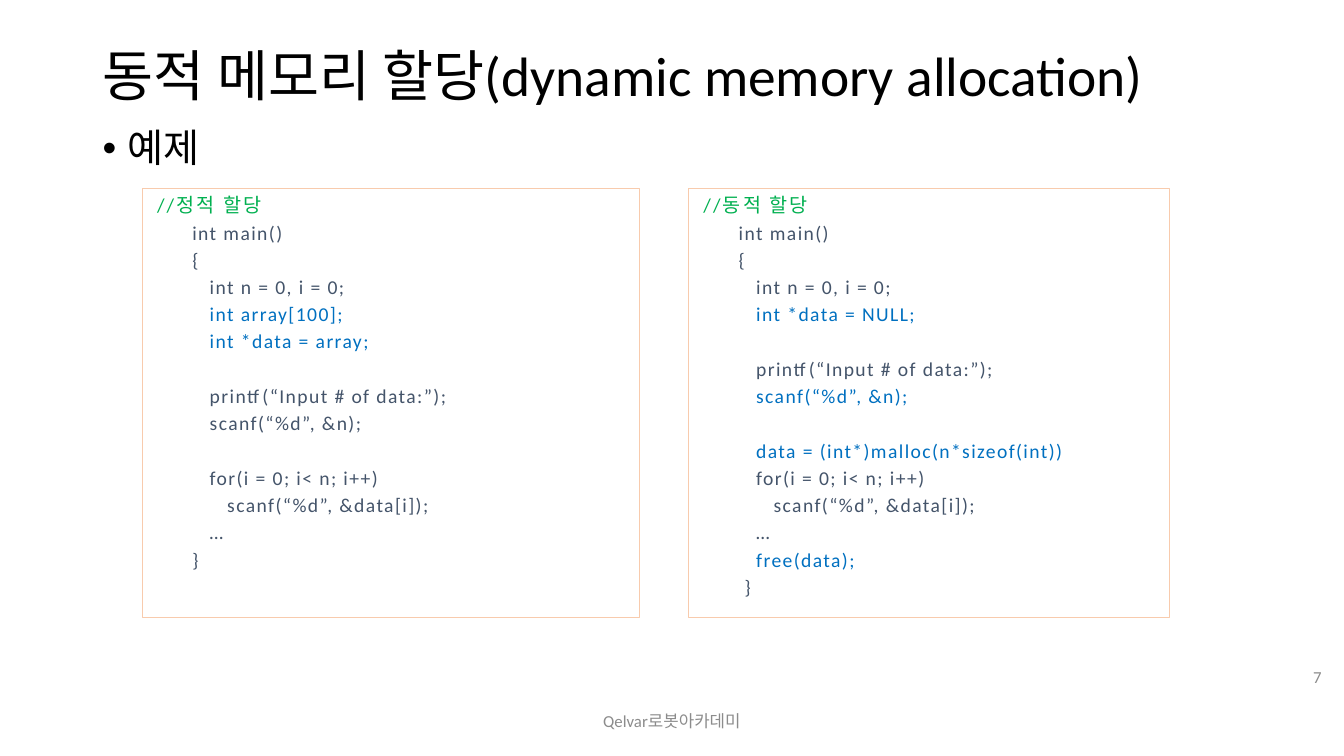
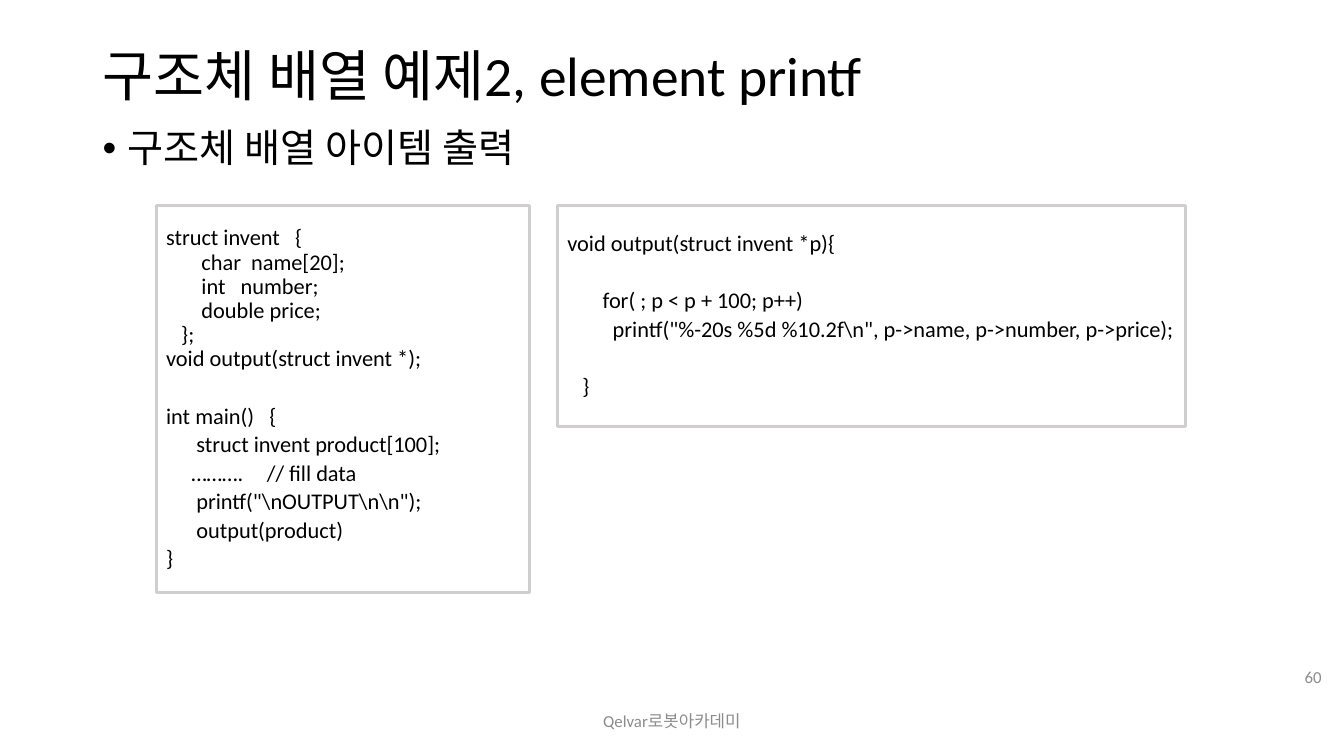
from dataclasses import dataclass
from typing import Optional

from lxml import etree
from pptx import Presentation
from pptx.dml.color import RGBColor
from pptx.enum import shapes, text
from pptx.oxml import ns
from pptx.util import Pt

FONT = "Calibri"
BLACK = RGBColor(0x00, 0x00, 0x00)
WHITE = RGBColor(0xFF, 0xFF, 0xFF)
FOOTER_GRAY = RGBColor(0x8C, 0x8C, 0x8C)
FRAME_GRAY = RGBColor(0xD0, 0xCE, 0xCE)
FRAME_PEACH = RGBColor(0xF8, 0xCB, 0xAD)
CODE_SLATE = RGBColor(0x44, 0x54, 0x6A)
CODE_BLUE = RGBColor(0x00, 0x70, 0xC0)
COMMENT_GREEN = RGBColor(0x00, 0xB0, 0x50)

FOOTER = "Qelvar로봇아카데미"
LEFT_MARGIN, CONTENT_WIDTH = 66.2, 828


@dataclass(frozen=True)
class Box:
    left: float
    top: float
    width: float
    height: float

    def lengths(self) -> tuple:
        return Pt(self.left), Pt(self.top), Pt(self.width), Pt(self.height)


TITLE_BOX = Box(LEFT_MARGIN, 28.8, CONTENT_WIDTH, 54)
BODY_BOX = Box(LEFT_MARGIN, 88.6, CONTENT_WIDTH, 398)
FOOTER_BOX = Box(318, 500.4, 324, 28.8)
NUMBER_BOX = Box(906.5, 468.7, 44.6, 28.8)


@dataclass(frozen=True)
class PanelStyle:
    """Spacing is the gap between lines; pitch is a whole line with its gap."""
    size: float
    spacing: float
    pitch: float
    line_spacing: float
    color: RGBColor
    frame: RGBColor
    frame_width: float
    fill: Optional[RGBColor]
    anchor: text.MSO_ANCHOR
    wrap: bool
    margin: float = 0
    indent: float = 0
    tracking: float = 0


@dataclass(frozen=True)
class CodeLine:
    text: str
    color: Optional[RGBColor] = None
    tight: bool = False
    blank_before: bool = False
    tab_stop: Optional[float] = None
    heading: bool = False


@dataclass(frozen=True)
class Panel:
    box: Box
    style: PanelStyle
    lines: tuple


@dataclass(frozen=True)
class CodeSlide:
    title: str
    bullet: str
    number: int
    panels: tuple


TRACKED = PanelStyle(14, 2.6, 19.7, 1.0, CODE_SLATE, FRAME_PEACH, 0.5, None,
                     text.MSO_ANCHOR.TOP, True, 43.2, -14.4, 1)
FRAMED = PanelStyle(16, 3.15, 20.5, 0.9, BLACK, FRAME_GRAY, 2.25, WHITE,
                    text.MSO_ANCHOR.MIDDLE, False)


def heading(words: str) -> CodeLine:
    return CodeLine(words, COMMENT_GREEN, heading=True)


MAIN_START = (CodeLine("int main()"), CodeLine("{"), CodeLine("   int n = 0, i = 0;"))
PROMPT = CodeLine("   printf(“Input # of data:”);", blank_before=True)
READ_VALUE = CodeLine("      scanf(“%d”, &data[i]);")
ELLIPSIS = CodeLine("   …")

STATIC_CODE = (
    heading("//정적 할당"),
    *MAIN_START,
    CodeLine("   int array[100];", CODE_BLUE),
    CodeLine("   int *data = array;", CODE_BLUE),
    PROMPT,
    CodeLine("   scanf(“%d”, &n);"),
    CodeLine("   for(i = 0; i< n; i++)", blank_before=True),
    READ_VALUE,
    ELLIPSIS,
    CodeLine("}"),
)
DYNAMIC_CODE = (
    heading("//동적 할당"),
    *MAIN_START,
    CodeLine("   int *data = NULL;", CODE_BLUE),
    PROMPT,
    CodeLine("   scanf(“%d”, &n);", CODE_BLUE),
    CodeLine("   data = (int*)malloc(n*sizeof(int))", CODE_BLUE, blank_before=True),
    CodeLine("   for(i = 0; i< n; i++)"),
    READ_VALUE,
    ELLIPSIS,
    CodeLine("   free(data);", CODE_BLUE),
    CodeLine(" }"),
)
STRUCT_CODE = (
    CodeLine("struct invent   {", tight=True),
    CodeLine("       char  name[20];", tight=True),
    CodeLine("       int   number;", tight=True),
    CodeLine("       double price;", tight=True),
    CodeLine("   };", tight=True),
    CodeLine("void output(struct invent *);", tight=True),
    CodeLine("int main()   {", blank_before=True),
    CodeLine("      struct invent product[100];"),
    CodeLine("     ……….\t// fill data", tab_stop=181.4),
    CodeLine('      printf("\\nOUTPUT\\n\\n");'),
    CodeLine("      output(product)"),
    CodeLine("}"),
)
OUTPUT_CODE = (
    CodeLine("void output(struct invent *p){"),
    CodeLine("       for( ; p < p + 100; p++)", blank_before=True),
    CodeLine('         printf("%-20s %5d %10.2f\\n", p->name, p->number, p->price);'),
    CodeLine("   }", blank_before=True),
)

SLIDES = (
    CodeSlide("동적 메모리 할당(dynamic memory allocation)", "예제", 7, (
        Panel(Box(101.5, 134.6, 355, 306.7), TRACKED, STATIC_CODE),
        Panel(Box(491.8, 134.6, 343.4, 306.7), TRACKED, DYNAMIC_CODE),
    )),
    CodeSlide("구조체 배열 예제2, element printf", "구조체 배열 아이템 출력", 60, (
        Panel(Box(111.6, 146.9, 266.4, 276.5), FRAMED, STRUCT_CODE),
        Panel(Box(398.2, 146.9, 448.6, 157.7), FRAMED, OUTPUT_CODE),
    )),
)


def set_font(paragraph, size: float, color: RGBColor) -> None:
    paragraph.font.name = FONT
    paragraph.font.size = Pt(size)
    paragraph.font.color.rgb = color


def set_indent(paragraph, margin: float, indent: float):
    """Set the left margin and first-line indent; return the properties element."""
    properties = paragraph._p.get_or_add_pPr()
    properties.set("marL", str(Pt(margin)))
    properties.set("indent", str(Pt(indent)))
    return properties


def add_label(slide, box: Box, words: str, alignment: text.PP_ALIGN) -> None:
    frame = slide.shapes.add_textbox(*box.lengths()).text_frame
    frame.word_wrap = True
    frame.vertical_anchor = text.MSO_ANCHOR.MIDDLE
    paragraph = frame.paragraphs[0]
    paragraph.text = words
    paragraph.alignment = alignment
    set_font(paragraph, 12, FOOTER_GRAY)


def format_title(slide, words: str) -> None:
    title = slide.shapes.title
    title.left, title.top, title.width, title.height = TITLE_BOX.lengths()
    frame = title.text_frame
    frame.auto_size = text.MSO_AUTO_SIZE.NONE
    frame.vertical_anchor = text.MSO_ANCHOR.MIDDLE
    paragraph = frame.paragraphs[0]
    paragraph.text = words
    paragraph.alignment = text.PP_ALIGN.LEFT
    paragraph.line_spacing = 0.9
    set_font(paragraph, 39.6, BLACK)


def add_bullet(slide, words: str) -> None:
    frame = slide.shapes.add_textbox(*BODY_BOX.lengths()).text_frame
    frame.word_wrap = True
    paragraph = frame.paragraphs[0]
    paragraph.text = words
    paragraph.line_spacing = 0.9
    properties = set_indent(paragraph, 18, -18)
    etree.SubElement(properties, ns.qn("a:buFont")).set("typeface", "Arial")
    etree.SubElement(properties, ns.qn("a:buChar")).set("char", "•")
    set_font(paragraph, 28, BLACK)


def write_code_line(paragraph, line: CodeLine, style: PanelStyle, first: bool) -> None:
    run = paragraph.add_run()
    run.text = line.text
    paragraph.alignment = text.PP_ALIGN.LEFT
    paragraph.line_spacing = style.line_spacing
    if not first and not line.tight:
        blank = style.pitch if line.blank_before else 0
        paragraph.space_before = Pt(style.spacing + blank)
    margin, indent = (3.6, 0) if line.heading else (style.margin, style.indent)
    properties = set_indent(paragraph, margin, indent)
    if line.tab_stop:
        tabs = etree.SubElement(properties, ns.qn("a:tabLst"))
        tab = etree.SubElement(tabs, ns.qn("a:tab"))
        tab.set("pos", str(Pt(line.tab_stop)))
        tab.set("algn", "l")
    set_font(paragraph, style.size, line.color or style.color)
    tracking = 1.5 if line.heading else style.tracking
    if tracking:
        run._r.get_or_add_rPr().set("spc", str(int(tracking * 100)))


def add_panel(slide, panel: Panel) -> None:
    style = panel.style
    shape = slide.shapes.add_shape(shapes.MSO_SHAPE.RECTANGLE, *panel.box.lengths())
    shape.shadow.inherit = False
    if style.fill is None:
        shape.fill.background()
    else:
        shape.fill.solid()
        shape.fill.fore_color.rgb = style.fill
    shape.line.color.rgb = style.frame
    shape.line.width = Pt(style.frame_width)
    frame = shape.text_frame
    frame.word_wrap = style.wrap
    frame.vertical_anchor = style.anchor
    for index, line in enumerate(panel.lines):
        paragraph = frame.add_paragraph() if index else frame.paragraphs[0]
        write_code_line(paragraph, line, style, first=index == 0)


def add_code_slide(presentation, content: CodeSlide) -> None:
    slide = presentation.slides.add_slide(presentation.slide_layouts[5])
    format_title(slide, content.title)
    add_bullet(slide, content.bullet)
    add_label(slide, FOOTER_BOX, FOOTER, text.PP_ALIGN.CENTER)
    add_label(slide, NUMBER_BOX, str(content.number), text.PP_ALIGN.RIGHT)
    for panel in content.panels:
        add_panel(slide, panel)


def main() -> None:
    presentation = Presentation()
    presentation.slide_width, presentation.slide_height = Pt(960), Pt(540)
    for content in SLIDES:
        add_code_slide(presentation, content)
    presentation.save("out.pptx")


if __name__ == "__main__":
    main()
